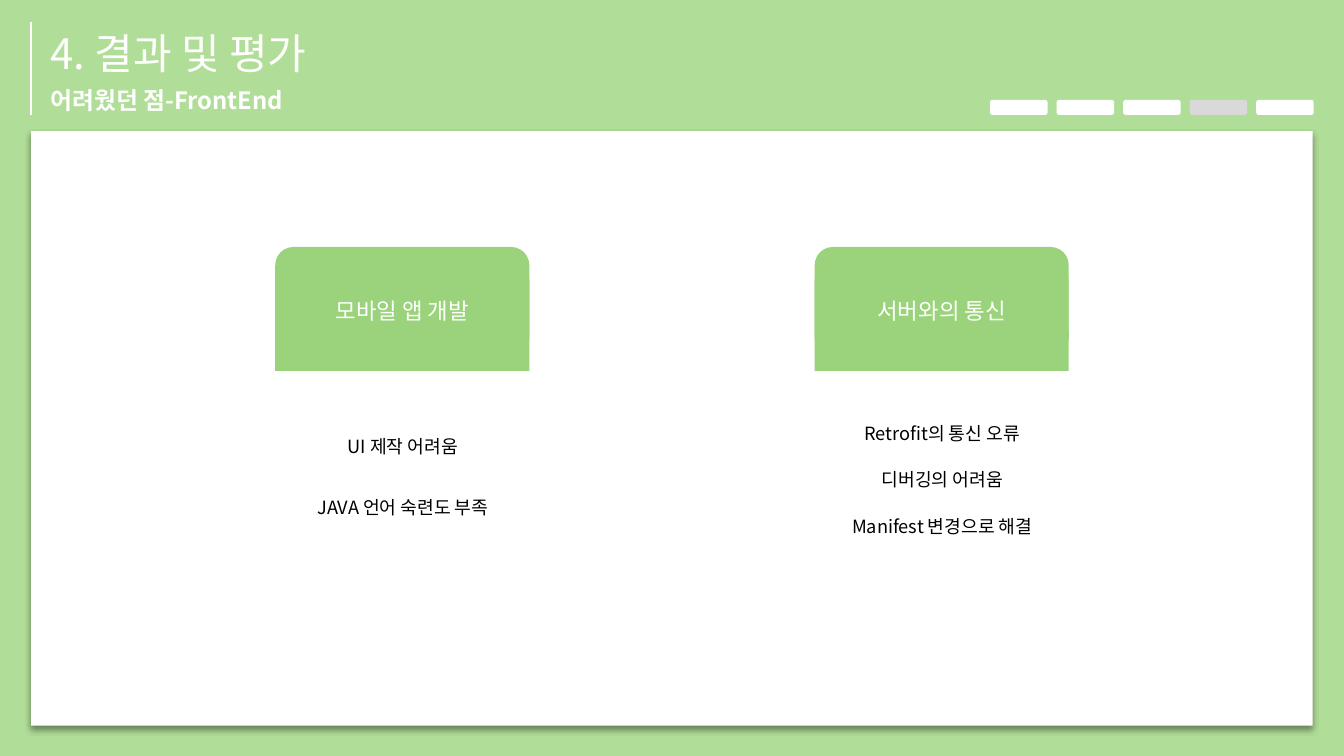
from lxml import etree
from pptx import Presentation
from pptx.dml.color import RGBColor
from pptx.enum.shapes import MSO_CONNECTOR, MSO_SHAPE
from pptx.enum.text import MSO_AUTO_SIZE, PP_ALIGN
from pptx.oxml import parse_xml
from pptx.oxml.ns import nsdecls, qn
from pptx.util import Inches, Pt

RECT = MSO_SHAPE.RECTANGLE
ROUNDED = MSO_SHAPE.ROUNDED_RECTANGLE
STRAIGHT = MSO_CONNECTOR.STRAIGHT
LEFT, CENTER = PP_ALIGN.LEFT, PP_ALIGN.CENTER
GROW = MSO_AUTO_SIZE.SHAPE_TO_FIT_TEXT

WHITE = RGBColor(0xFF, 0xFF, 0xFF)
BLACK = RGBColor(0x00, 0x00, 0x00)
GRAY = RGBColor(0xD9, 0xD9, 0xD9)
LIGHT_GREEN = RGBColor(0xB0, 0xDD, 0x97)
GREEN = RGBColor(0x9A, 0xD3, 0x7B)
FONT = "Noto Sans CJK KR"

WIDTH, HEIGHT = 13.33, 7.5
MARGIN = 0.31
TOP = 0.22


def add_block(shapes, kind, left, top, width, height, color):
    block = shapes.add_shape(kind, Inches(left), Inches(top), Inches(width), Inches(height))
    block.shadow.inherit = False
    block.fill.solid()
    block.fill.fore_color.rgb = color
    block.line.fill.background()
    return block


def add_label(shapes, text, left, top, width, height, size, color, align=CENTER, bold=False):
    box = shapes.add_textbox(Inches(left), Inches(top), Inches(width), Inches(height))
    box.text_frame.word_wrap = True
    box.text_frame.auto_size = GROW
    para = box.text_frame.paragraphs[0]
    para.text = text
    para.alignment = align
    para.font.size = Pt(size)
    para.font.bold = bold
    para.font.color.rgb = color
    para.font.name = FONT
    # Korean glyphs take the East Asian typeface
    defaults = para._p.pPr.find(qn("a:defRPr"))
    etree.SubElement(defaults, qn("a:ea")).set("typeface", FONT)


deck = Presentation()
deck.slide_width, deck.slide_height = Inches(WIDTH), Inches(HEIGHT)
page = deck.slides.add_slide(deck.slide_layouts[6])
page.background.fill.solid()
page.background.fill.fore_color.rgb = LIGHT_GREEN

# White panel with a soft shadow below
panel = add_block(page.shapes, RECT, MARGIN, 1.3, WIDTH - 2 * MARGIN, 5.9, WHITE)
effects = panel._element.spPr.find(qn("a:effectLst"))
effects.append(parse_xml(
    f'<a:outerShdw {nsdecls("a")} blurRad="{Pt(4)}" dist="{Pt(3)}" dir="5400000" '
    'algn="t" rotWithShape="0"><a:srgbClr val="000000"><a:alpha val="40000"/>'
    '</a:srgbClr></a:outerShdw>'))

# Heading with its vertical rule
add_label(page.shapes, "4. 결과 및 평가", 0.4, TOP, 12.63, 0.61, 30, WHITE, LEFT)
rule = page.shapes.add_connector(
    STRAIGHT, Inches(MARGIN), Inches(TOP), Inches(MARGIN), Inches(1.14))
rule.line.color.rgb = WHITE
rule.line.width = Pt(1.5)
etree.SubElement(rule._element.spPr, qn("a:effectLst"))
add_label(page.shapes, "어려웠던 점-FrontEnd", 0.4, 0.8, 12.93, 0.39, 17, WHITE, LEFT, True)

# Progress bar: five steps, the fourth is current
STEPS, CURRENT, STEP_PITCH = 5, 3, 0.66
progress = page.shapes.add_group_shape()
for step in range(STEPS):
    add_block(progress.shapes, ROUNDED, 9.82 + step * STEP_PITCH, 0.99, 0.57, 0.15,
              GRAY if step == CURRENT else WHITE)

# Two cards: column, title, first line top, line pitch, lines
CARD_LEFT, CARD_TOP, CARD_WIDTH, CARD_PITCH = 2.73, 2.45, 2.52, 5.35
CARDS = [
    (1, "서버와의 통신", 4.14, 0.46,
     ["Retrofit의 통신 오류", "디버깅의 어려움", "Manifest 변경으로 해결"]),
    (0, "모바일 앱 개발", 4.27, 0.6,
     ["UI 제작 어려움", "JAVA 언어 숙련도 부족"]),
]
for column, title, first_top, pitch, lines in CARDS:
    left = CARD_LEFT + column * CARD_PITCH
    card = page.shapes.add_group_shape().shapes
    body = add_block(card, ROUNDED, left, CARD_TOP, CARD_WIDTH, 3.46, WHITE)
    body.adjustments[0] = 0.06
    # Header: rounded above, square below
    add_block(card, ROUNDED, left, CARD_TOP, CARD_WIDTH, 1.08, GREEN)
    add_block(card, RECT, left, CARD_TOP + 0.32, CARD_WIDTH, 0.91, GREEN)
    add_label(card, title, left + 0.28, CARD_TOP + 0.45, 1.96, 0.37, 16, WHITE)
    for row, line in enumerate(lines):
        add_label(card, line, left + 0.13, first_top + row * pitch, 2.27, 0.32, 13, BLACK)

deck.save("out.pptx")
